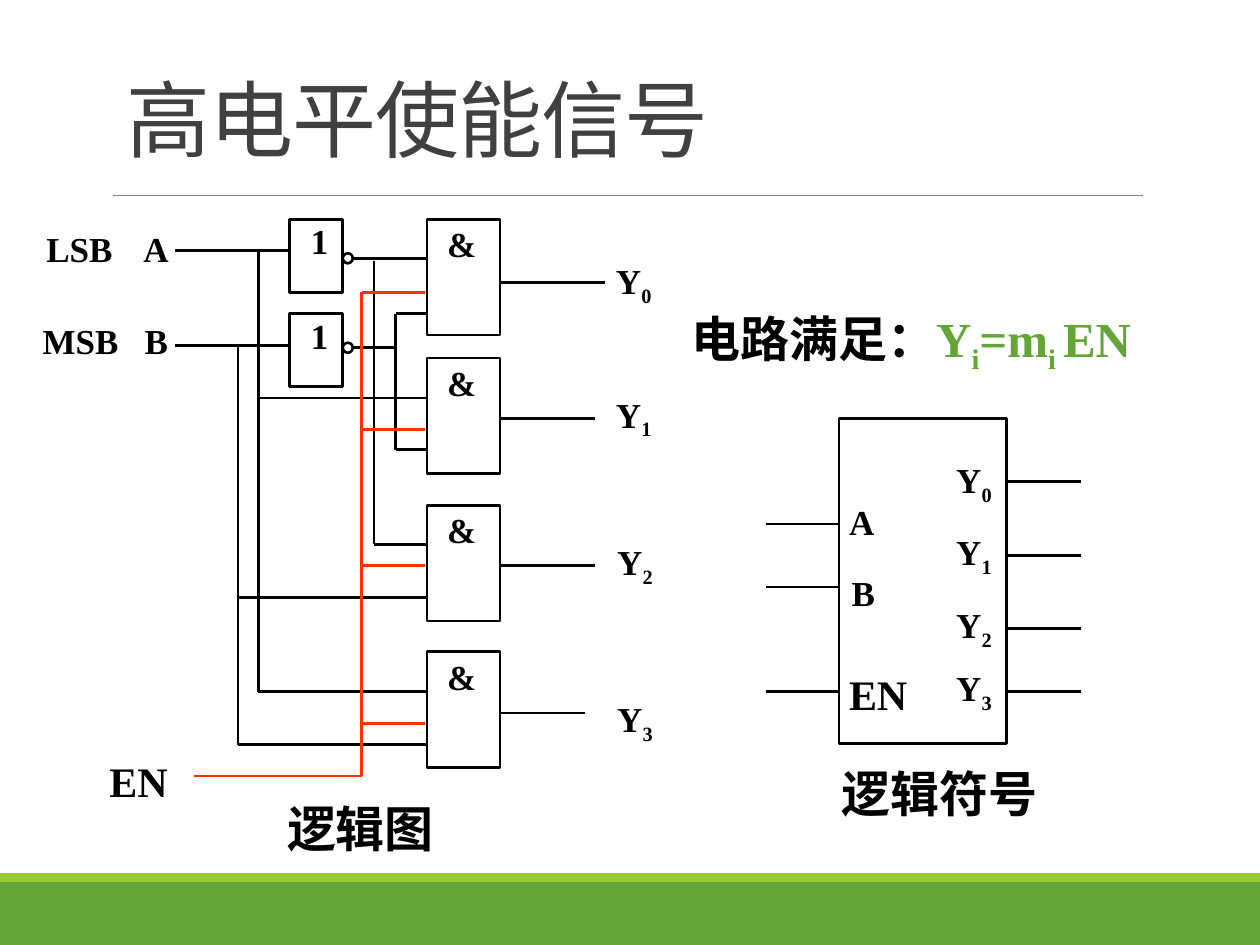
import itertools

import pptx
import pptx.dml.color
import pptx.enum.shapes
import pptx.enum.text
import pptx.oxml
import pptx.oxml.ns
import pptx.util
from pptx.util import Inches

RGBColor = pptx.dml.color.RGBColor
SHAPE = pptx.enum.shapes.MSO_SHAPE
BLACK = RGBColor(0x00, 0x00, 0x00)
TITLE_GREY = RGBColor(0x40, 0x40, 0x40)
RULE_GREY = RGBColor(0x80, 0x80, 0x80)
GREEN = RGBColor(0x63, 0xA5, 0x37)
LIME = RGBColor(0x99, 0xCB, 0x38)
RED = RGBColor(0xFF, 0x33, 0x00)
LATIN, CJK = "Times New Roman", "Noto Sans CJK SC"

TITLE = "高电平使能信号"
# (text, colour, is subscript)
FORMULA = [
    ("电路满足：", BLACK, False), ("Y", GREEN, False), ("i", GREEN, True),
    ("=m", GREEN, False), ("i ", GREEN, True), ("EN", GREEN, False),
]
BANDS = [(7, 0.5, GREEN), (6.93, 0.07, LIME)]  # top, height, colour
BOX_HEIGHT = {20: 0.43, 24: 0.5, 28: 0.57}  # by text size

# Logic diagram
GATE_LEFT, GATE_WIDTH, GATE_HEIGHT = 3.39, 0.58, 0.92
GATE_TOPS = [1.74, 2.84, 4.01, 5.17]
INVERTER_LEFT, INVERTER_WIDTH, INVERTER_HEIGHT = 2.3, 0.42, 0.58
INVERTERS = [(1.74, 1.69, 2.01), (2.49, 2.45, 2.72)]  # box, digit, bubble tops
BUBBLE = 0.08
A_RAIL, B_RAIL, NOT_A_RAIL, NOT_B_RAIL, EN_RAIL = 2.05, 1.89, 2.97, 3.14, 2.87
GATE_OUTPUTS = [(2.24, 4.8), (3.32, 4.72), (4.49, 4.72), (5.66, 4.64)]  # y, end
WIRES = [
    [(INVERTER_LEFT, 1.99), (1.39, 1.99)],
    [(INVERTER_LEFT, 2.74), (1.39, 2.74)],
    [(2.8, 2.05), (GATE_LEFT, 2.05)],
    [(2.8, 2.76), (NOT_B_RAIL, 2.76)],
    [(GATE_LEFT, 2.49), (NOT_B_RAIL, 2.49), (NOT_B_RAIL, 2.74),
     (NOT_B_RAIL, 3.57), (GATE_LEFT, 3.57)],
    [(NOT_A_RAIL, 2.07), (NOT_A_RAIL, 4.32), (GATE_LEFT, 4.32)],
    [(A_RAIL, 1.99), (A_RAIL, 5.49), (GATE_LEFT, 5.49)],
    [(A_RAIL, 3.16), (GATE_LEFT, 3.16)],
    [(B_RAIL, 2.74), (B_RAIL, 4.74), (B_RAIL, 5.91), (GATE_LEFT, 5.91)],
    [(B_RAIL, 4.74), (GATE_LEFT, 4.74)],
]
ENABLE_END = 3.37
ENABLE_TAPS = [3.41, 4.49, 5.74]
ENABLE_MAIN = [(ENABLE_END, 2.32), (EN_RAIL, 2.32), (EN_RAIL, 6.16), (1.54, 6.16)]
# (text, subscript, left, top, width, size)
DIAGRAM_LABELS = [
    ("A", "", 1.04, 1.76, 0.4, 20), ("B", "", 1.05, 2.49, 0.39, 20),
    ("LSB", "", 0.27, 1.76, 0.73, 20), ("MSB", "", 0.24, 2.49, 0.8, 20),
    ("Y", "0", 4.79, 2.01, 0.49, 20), ("Y", "1", 4.79, 3.07, 0.49, 20),
    ("Y", "2", 4.8, 4.24, 0.49, 20), ("Y", "3", 4.8, 5.49, 0.49, 20),
    ("EN", "", 0.77, 5.95, 0.66, 24), ("逻辑图", "", 2.18, 6.29, 1.37, 28),
]

# Logic symbol
SYMBOL_BOX = (6.66, 3.32, 1.33, 2.58)
SYMBOL_INPUTS = [4.16, 4.66, 5.49]
SYMBOL_OUTPUTS = [(3.82, 3.59), (4.41, 4.16), (4.99, 4.74), (5.49, 5.24)]  # pin y, label top
SYMBOL_LABELS = [
    ("EN", "", 6.64, 5.26, 0.66, 24), ("A", "", 6.64, 3.92, 0.4, 20),
    ("B", "", 6.66, 4.49, 0.39, 20), ("逻辑符号", "", 6.58, 6.01, 1.76, 28),
]


def add_run(paragraph, text, size, color, latin=LATIN, bold=True, subscript=False):
    run = paragraph.add_run()
    run.text = text
    run.font.size = pptx.util.Pt(size)
    run.font.bold = bold
    run.font.name = latin
    run.font.color.rgb = color
    properties = run.font._element
    east_asian = pptx.oxml.parse_xml(
        f'<a:ea {pptx.oxml.ns.nsdecls("a")} typeface="{CJK}"/>')
    properties.find(pptx.oxml.ns.qn("a:latin")).addnext(east_asian)
    if subscript:
        properties.set("baseline", "-25000")
    return run


def add_text(shapes, runs, left, top, width, size, wrap=False):
    box = shapes.add_textbox(*map(Inches, (left, top, width, BOX_HEIGHT[size])))
    box.text_frame.word_wrap = wrap
    box.text_frame.auto_size = pptx.enum.text.MSO_AUTO_SIZE.SHAPE_TO_FIT_TEXT
    for text, color, subscript in runs:
        add_run(box.text_frame.paragraphs[0], text, size, color, subscript=subscript)


def add_label(shapes, text, subscript, *place):
    runs = [(text, BLACK, False)]
    if subscript:
        runs.append((subscript, BLACK, True))
    add_text(shapes, runs, *place)


def add_outline(shapes, kind, left, top, width, height):
    outline = shapes.add_shape(kind, *map(Inches, (left, top, width, height)))
    outline.shadow.inherit = False
    outline.fill.background()
    outline.line.color.rgb = BLACK
    outline.line.width = pptx.util.Pt(1.5)


def add_wire(shapes, points, color=BLACK, width=1.5):
    """Draw one straight connector between each pair of neighbouring points."""
    for start, end in itertools.pairwise(points):
        wire = shapes.add_connector(
            pptx.enum.shapes.MSO_CONNECTOR.STRAIGHT, *map(Inches, start + end))
        wire.line.color.rgb = color
        wire.line.width = pptx.util.Pt(width)
        wire._element.spPr.append(
            pptx.oxml.parse_xml(f'<a:effectLst {pptx.oxml.ns.nsdecls("a")}/>'))


def add_frame(slide):
    for top, height, color in BANDS:
        band = slide.shapes.add_shape(
            SHAPE.RECTANGLE, *map(Inches, (0, top, 10, height)))
        band.shadow.inherit = False
        band.fill.solid()
        band.fill.fore_color.rgb = color
        band.line.fill.background()
    add_wire(slide.shapes, [(0.9, 1.55), (9.07, 1.55)], RULE_GREY, 0.5)

    title = slide.shapes.title
    title.left, title.top, title.width, title.height = map(
        Inches, (0.9, 0.31, 8.25, 1.08))
    title.text_frame.auto_size = pptx.enum.text.MSO_AUTO_SIZE.NONE
    title.text_frame.vertical_anchor = pptx.enum.text.MSO_ANCHOR.BOTTOM
    heading = title.text_frame.paragraphs[0]
    heading.alignment = pptx.enum.text.PP_ALIGN.LEFT
    heading.line_spacing = 0.85
    run = add_run(heading, TITLE, 48, TITLE_GREY, latin=CJK, bold=False)
    run.font._element.set("spc", "-50")


def add_logic_diagram(shapes):
    for top in GATE_TOPS:
        add_outline(shapes, SHAPE.RECTANGLE, GATE_LEFT, top, GATE_WIDTH, GATE_HEIGHT)
        add_label(shapes, "&", "", GATE_LEFT + 0.06, top - 0.02, 0.43, 20)
    for top, digit_top, bubble_top in INVERTERS:
        add_outline(shapes, SHAPE.RECTANGLE, INVERTER_LEFT, top,
                    INVERTER_WIDTH, INVERTER_HEIGHT)
        add_label(shapes, "1", "", INVERTER_LEFT + 0.07, digit_top, 0.34, 20)
        add_outline(shapes, SHAPE.OVAL, INVERTER_LEFT + INVERTER_WIDTH, bubble_top,
                    BUBBLE, BUBBLE)
    for points in WIRES:
        add_wire(shapes, points)
    for y, end in GATE_OUTPUTS:
        add_wire(shapes, [(GATE_LEFT + GATE_WIDTH, y), (end, y)])
    for label in DIAGRAM_LABELS:
        add_label(shapes, *label)
    add_wire(shapes, ENABLE_MAIN, RED)
    for y in ENABLE_TAPS:
        add_wire(shapes, [(EN_RAIL, y), (ENABLE_END, y)], RED)


def add_logic_symbol(shapes):
    left, _, width, _ = SYMBOL_BOX
    right = left + width
    add_outline(shapes, SHAPE.RECTANGLE, *SYMBOL_BOX)
    for index, (y, label_top) in enumerate(SYMBOL_OUTPUTS):
        add_label(shapes, "Y", str(index), right - 0.5, label_top, 0.49, 20)
        add_wire(shapes, [(right, y), (right + 0.59, y)])
    for y in SYMBOL_INPUTS:
        add_wire(shapes, [(left - 0.58, y), (left, y)])
    for label in SYMBOL_LABELS:
        add_label(shapes, *label)


def main():
    deck = pptx.Presentation()
    deck.slide_width, deck.slide_height = Inches(10), Inches(7.5)
    slide = deck.slides.add_slide(deck.slide_layouts.get_by_name("Title Only"))
    add_frame(slide)
    add_text(slide.shapes, FORMULA, 5.39, 2.4, 4.41, 28, wrap=True)
    add_logic_diagram(slide.shapes.add_group_shape().shapes)
    add_logic_symbol(slide.shapes.add_group_shape().shapes)
    deck.save("out.pptx")


if __name__ == "__main__":
    main()
